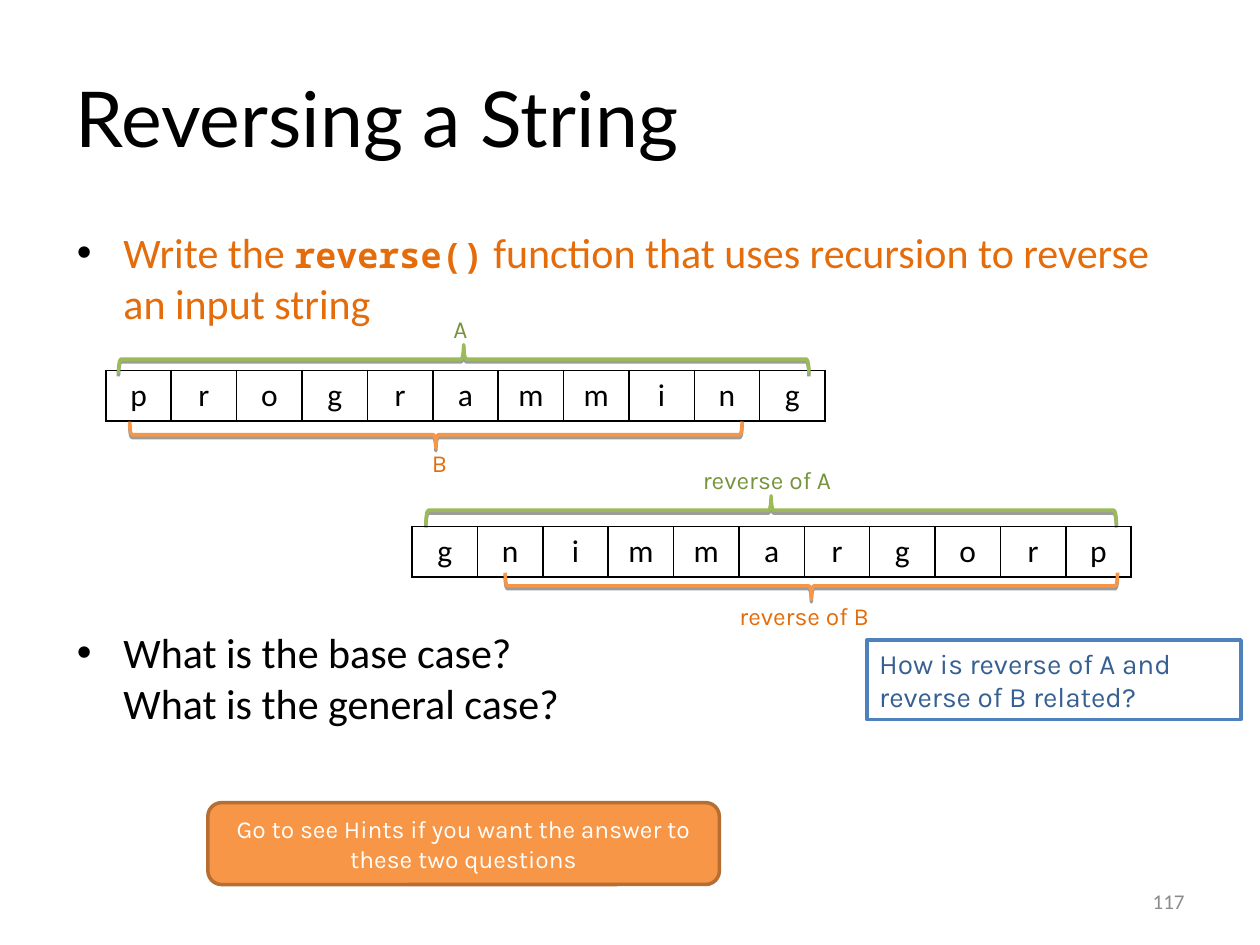
"""Build the slide on reversing a string by recursion."""
from dataclasses import dataclass

from lxml import etree
from pptx import Presentation
from pptx.dml.color import RGBColor
from pptx.enum.shapes import MSO_SHAPE
from pptx.enum.text import MSO_ANCHOR, MSO_AUTO_SIZE, PP_ALIGN
from pptx.oxml.ns import qn
from pptx.util import Inches, Pt

LEFT, CENTER, RIGHT = PP_ALIGN.LEFT, PP_ALIGN.CENTER, PP_ALIGN.RIGHT
TOP, MIDDLE = MSO_ANCHOR.TOP, MSO_ANCHOR.MIDDLE
RECT, ROUND_RECT, BRACE = MSO_SHAPE.RECTANGLE, MSO_SHAPE.ROUNDED_RECTANGLE, MSO_SHAPE.LEFT_BRACE
NO_AUTOFIT = MSO_AUTO_SIZE.NONE

BLACK, WHITE, GRAY = "000000", "FFFFFF", "8B8B8B"
GREEN, DARK_GREEN = "9BBB59", "77933C"
ORANGE, DARK_ORANGE, BROWN = "F79646", "E46C0A", "B66E33"
BLUE, DARK_BLUE = "4F81BD", "376092"
POINTS_UP, POINTS_DOWN = 90, 270


@dataclass
class Word:
    letters: str
    left: float
    top: float


@dataclass
class Brace:
    center_x: float
    center_y: float
    span: float
    depth: float
    rotation: int
    color: str


@dataclass
class Label:
    text: str
    left: float
    top: float
    width: float
    color: str


@dataclass
class Box:
    text: str
    kind: int
    left: float
    top: float
    width: float
    height: float
    fill: str
    line: str
    color: str
    size: int
    align: int
    anchor: int


WORDS = [Word("programming", 0.84, 2.94), Word("gnimmargorp", 3.27, 4.18)]
BRACES = [
    Brace(3.68, 2.85, 5.48, 0.23, POINTS_UP, GREEN),
    Brace(3.46, 3.45, 4.86, 0.21, POINTS_DOWN, ORANGE),
    Brace(6.12, 4.05, 5.48, 0.23, POINTS_UP, GREEN),
    Brace(6.44, 4.65, 4.86, 0.21, POINTS_DOWN, ORANGE),
]
LABELS = [
    Label("A", 3.5, 2.44, 0.33, DARK_GREEN),
    Label("B", 3.33, 3.51, 0.33, DARK_ORANGE),
    Label("reverse of A", 5.48, 3.64, 1.38, DARK_GREEN),
    Label("reverse of B", 5.77, 4.72, 1.38, DARK_ORANGE),
]
BOXES = [
    Box("How is reverse of A and reverse of B related?", RECT,
        6.88, 5.08, 2.97, 0.63, WHITE, BLUE, DARK_BLUE, 16, LEFT, TOP),
    Box("Go to see Hints if you want the answer to these two questions", ROUND_RECT,
        1.65, 6.37, 4.06, 0.65, ORANGE, BROWN, WHITE, 14, CENTER, MIDDLE),
]


def rgb(color: str) -> RGBColor:
    return RGBColor.from_string(color)


def place(s, left: float, top: float, width: float, height: float) -> None:
    s.left, s.top, s.width, s.height = map(Inches, (left, top, width, height))


def add_run(p, text: str, size: int, color: str, font: str = "Calibri", bold: bool = False) -> None:
    r = p.add_run()
    r.text = text
    r.font.name, r.font.size, r.font.bold = font, Pt(size), bold
    r.font.color.rgb = rgb(color)


def add_bullet(p, space_before: float) -> None:
    pPr = p._p.get_or_add_pPr()
    pPr.set("marL", str(Inches(0.38)))
    pPr.set("indent", str(Inches(-0.37)))
    clr = etree.SubElement(pPr, qn("a:buClr"))
    etree.SubElement(clr, qn("a:srgbClr"), val=BLACK)
    etree.SubElement(pPr, qn("a:buFont"), typeface="Arial")
    etree.SubElement(pPr, qn("a:buChar"), char="•")
    p.space_before = Pt(space_before)


def add_title(sp) -> None:
    place(sp, 0.5, 0.3, 9, 1.25)
    tf = sp.text_frame
    tf.vertical_anchor = MIDDLE
    p = tf.paragraphs[0]
    p.alignment = LEFT
    add_run(p, "Reversing a String", 44, BLACK, "Lato")


def add_body(sp) -> None:
    place(sp, 0.5, 1.75, 9, 4.95)
    tf = sp.text_frame
    tf.auto_size = NO_AUTOFIT
    p = tf.paragraphs[0]
    add_bullet(p, 0)
    add_run(p, "Write the ", 24, DARK_ORANGE)
    add_run(p, "reverse()", 20, DARK_ORANGE, "Noto Sans Mono", True)
    add_run(p, " function that uses recursion to reverse an input string", 24, DARK_ORANGE)
    p = tf.add_paragraph()
    add_bullet(p, 171)
    add_run(p, "What is the base case?", 24, BLACK)
    p.add_line_break()
    add_run(p, "What is the general case?", 24, BLACK)


def add_borders(cell) -> None:
    tcPr = cell._tc.get_or_add_tcPr()
    for i, side in enumerate(("a:lnL", "a:lnR", "a:lnT", "a:lnB")):
        ln = etree.Element(qn(side), w=str(Pt(1)))
        fill = etree.SubElement(ln, qn("a:solidFill"))
        etree.SubElement(fill, qn("a:srgbClr"), val=BLACK)
        tcPr.insert(i, ln)


def add_word(shapes, word: Word) -> None:
    table = shapes.add_table(1, len(word.letters), Inches(word.left), Inches(word.top),
                             Inches(5.71), Inches(0.39)).table
    table.first_row = table.horz_banding = False
    for cell, letter in zip(table.rows[0].cells, word.letters):
        cell.fill.background()
        add_borders(cell)
        p = cell.text_frame.paragraphs[0]
        p.alignment = CENTER
        add_run(p, letter, 18, BLACK)


def add_brace(shapes, brace: Brace) -> None:
    s = shapes.add_shape(BRACE, 0, 0, 0, 0)
    place(s, brace.center_x - brace.depth / 2, brace.center_y - brace.span / 2,
          brace.depth, brace.span)
    s.rotation = brace.rotation
    s.fill.background()
    s.line.color.rgb, s.line.width = rgb(brace.color), Pt(2)
    s.shadow.inherit = False
    effects = s._element.spPr.find(qn("a:effectLst"))
    shadow = etree.SubElement(effects, qn("a:outerShdw"), dist=str(Pt(1.6)),
                              dir="5400000", rotWithShape="0")
    clr = etree.SubElement(shadow, qn("a:srgbClr"), val=BLACK)
    etree.SubElement(clr, qn("a:alpha"), val="38000")


def add_label(shapes, label: Label) -> None:
    sp = shapes.add_textbox(Inches(label.left), Inches(label.top), Inches(label.width), Inches(0.33))
    sp.text_frame.word_wrap = False
    add_run(sp.text_frame.paragraphs[0], label.text, 14, label.color, "Karla")


def add_box(shapes, box: Box) -> None:
    s = shapes.add_shape(box.kind, 0, 0, 0, 0)
    place(s, box.left, box.top, box.width, box.height)
    s.shadow.inherit = False
    s.fill.solid()
    s.fill.fore_color.rgb = rgb(box.fill)
    s.line.color.rgb, s.line.width = rgb(box.line), Pt(2)
    tf = s.text_frame
    tf.word_wrap, tf.vertical_anchor = True, box.anchor
    p = tf.paragraphs[0]
    p.alignment = box.align
    add_run(p, box.text, box.size, box.color, "Karla")


def add_page_number(shapes) -> None:
    tf = shapes.add_textbox(Inches(7.17), Inches(6.95), Inches(2.33), Inches(0.4)).text_frame
    tf.word_wrap, tf.vertical_anchor = True, MIDDLE
    p = tf.paragraphs[0]
    p.alignment = RIGHT
    add_run(p, "117", 12, GRAY)


def main() -> None:
    prs = Presentation()
    prs.slide_width, prs.slide_height = Inches(10), Inches(7.5)
    slide = prs.slides.add_slide(prs.slide_layouts[1])
    add_title(slide.shapes.title)
    add_body(slide.placeholders[1])
    add_page_number(slide.shapes)
    for draw, items in ((add_word, WORDS), (add_brace, BRACES), (add_label, LABELS), (add_box, BOXES)):
        for item in items:
            draw(slide.shapes, item)
    prs.save("out.pptx")


if __name__ == "__main__":
    main()
